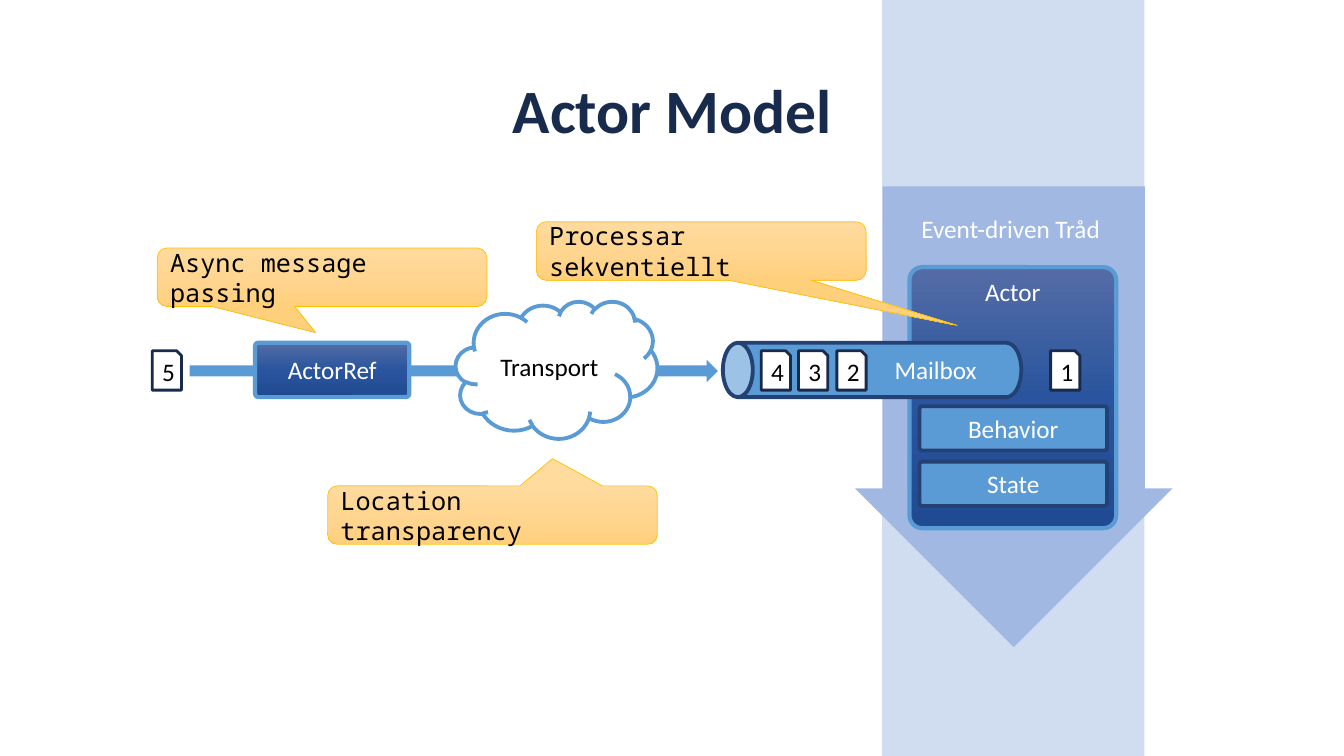
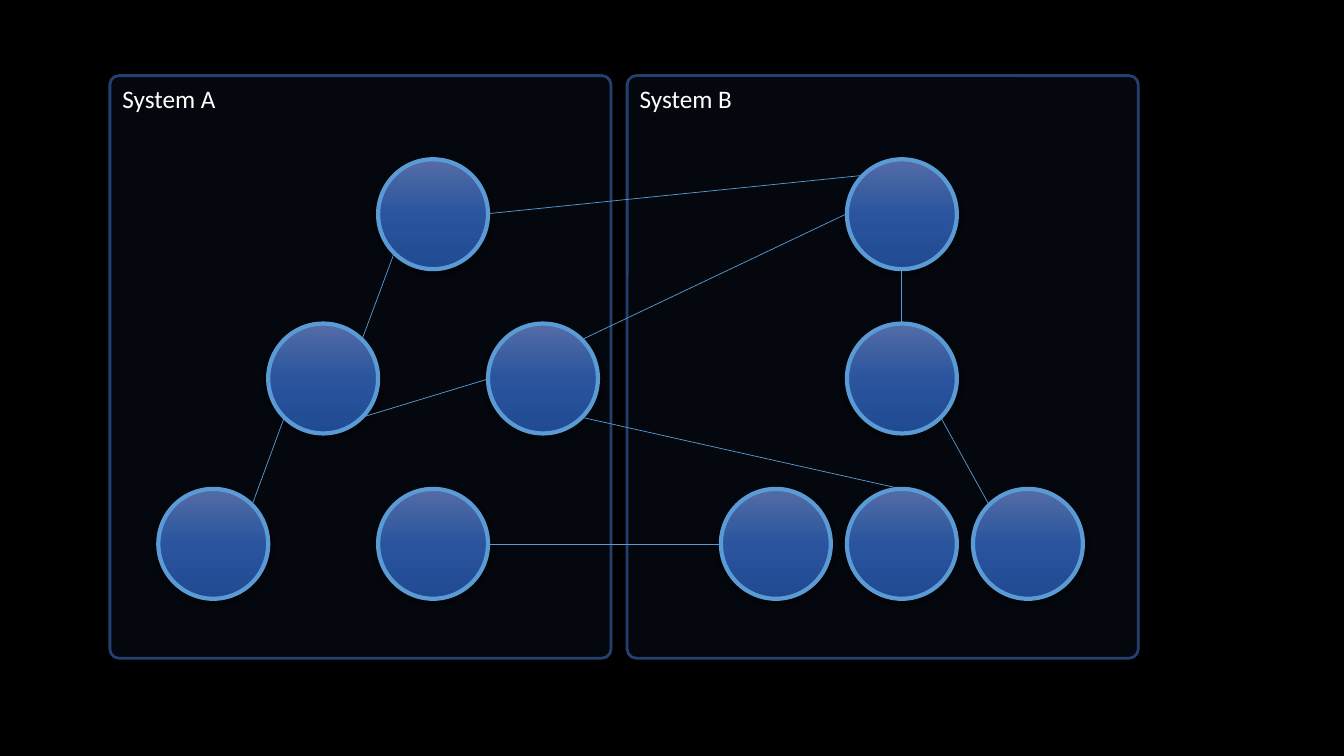
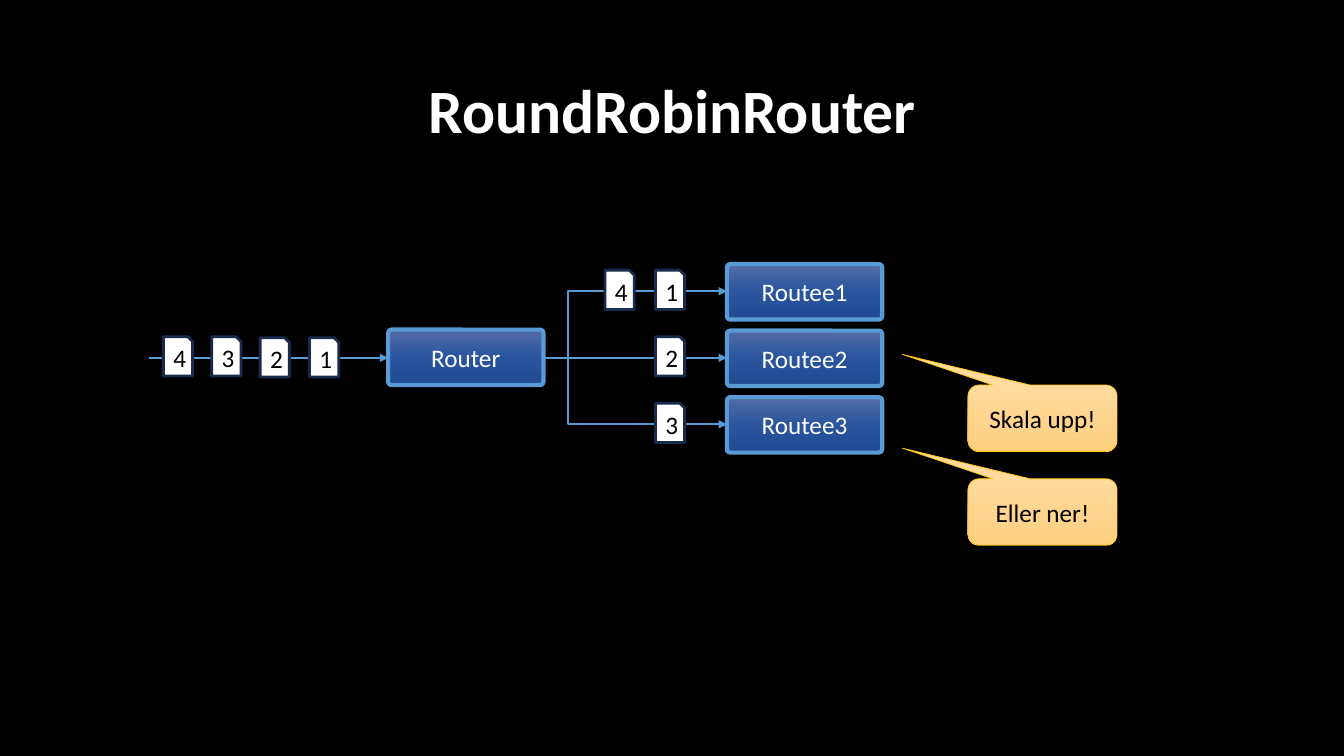
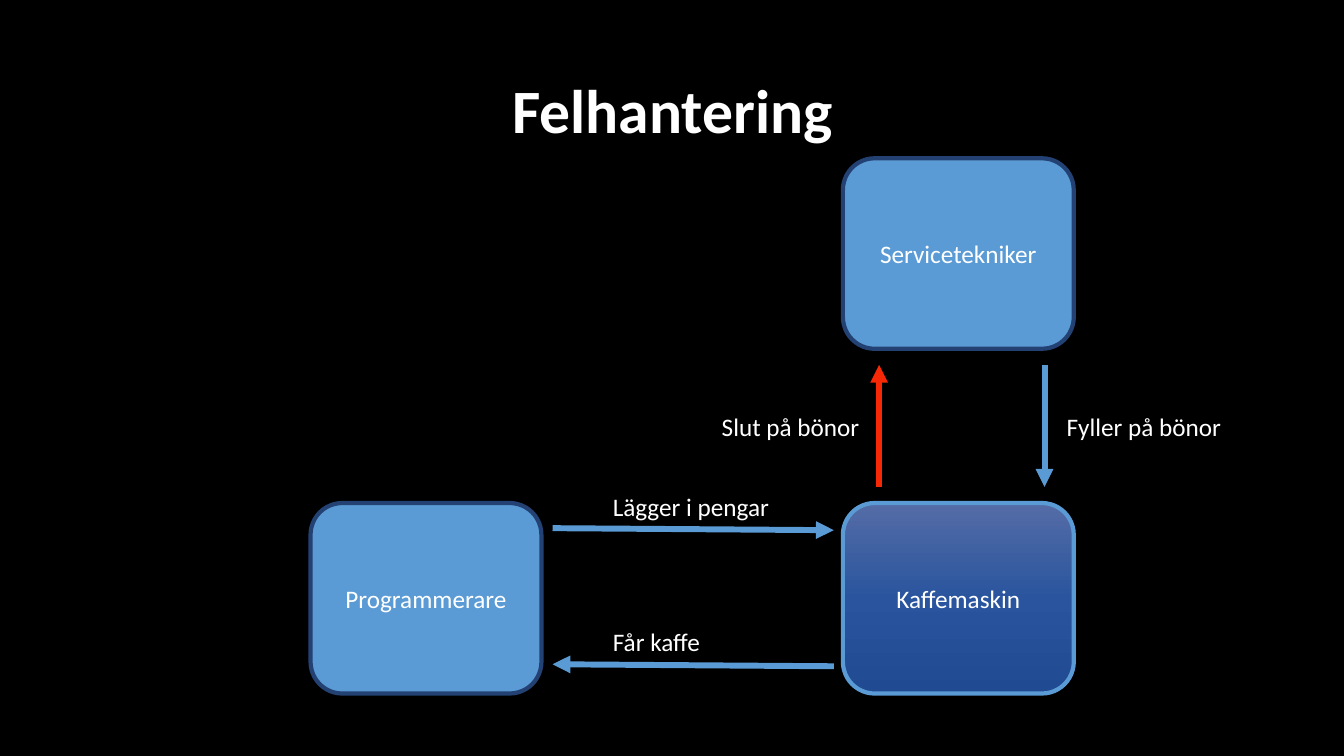
import math
from dataclasses import dataclass, replace
from typing import Optional

import lxml.etree
import pptx
import pptx.dml.color
import pptx.enum.shapes
import pptx.enum.text
import pptx.oxml.ns
import pptx.presentation
import pptx.slide
import pptx.util

Preset = pptx.enum.shapes.MSO_SHAPE
Connector = pptx.enum.shapes.MSO_CONNECTOR
Anchor = pptx.enum.text.MSO_ANCHOR
Align = pptx.enum.text.PP_ALIGN
AutoSize = pptx.enum.text.MSO_AUTO_SIZE
qn = pptx.oxml.ns.qn

EMU_PER_PX = 9144
SLIDE_SIZE = (1333, 750)
TITLE_FRAME = (92, 40, 1150, 145)

WHITE = "FFFFFF"
BLACK = "000000"
NAVY = "182B4C"
DEEP_BLUE = "234173"
BLUE = "5B9BD5"
RED = "F62806"
BLUE_GRADIENT = ("546CA6", "2A559E", "204A91")
AMBER_GRADIENT = ("FFDB9E", "FFD590", "FFD07C")

SANS = "Calibri"
MONO = "Noto Sans Mono"
SLIGHT_ROUND = (0.062,)
CALLOUT_ROUND = 0.167


@dataclass(frozen=True)
class Style:
    fill: tuple[str, ...]
    line: Optional[str] = None
    line_width: float = 1
    text_color: str = WHITE
    font: str = SANS
    align: Align = Align.CENTER
    anchor: Anchor = Anchor.MIDDLE
    opacity: int = 100
    shadow: bool = False


@dataclass(frozen=True)
class Box:
    preset: Preset
    frame: tuple[int, int, int, int]
    style: Style
    text: str = ""
    adjustments: tuple[float, ...] = ()
    rotation: int = 0


@dataclass(frozen=True)
class Label:
    frame: tuple[int, int, int, int]
    text: str
    centered: bool = False


@dataclass(frozen=True)
class Line:
    start: tuple[int, int]
    end: tuple[int, int]
    width: float
    color: str = BLUE
    arrow: bool = True
    bend: Optional[float] = None


@dataclass(frozen=True)
class Link:
    source: str
    source_angle: int
    target: str
    target_angle: int


ACTOR = Style(BLUE_GRADIENT, BLUE, 3)
RAISED_ACTOR = replace(ACTOR, shadow=True)
PART = Style((BLUE,), DEEP_BLUE, 2.75)
PERSON = replace(PART, line_width=3)
CARD = Style((WHITE,), NAVY, 2, BLACK)
CLOUD = Style((WHITE,), BLUE, 2.75, BLACK)
CALLOUT = Style(AMBER_GRADIENT, "FFC000", 0.5, BLACK)
MONO_CALLOUT = replace(CALLOUT, font=MONO, align=Align.LEFT)
SYSTEM = Style(("2F5699",), "234071", 2, align=Align.LEFT, anchor=Anchor.TOP, opacity=9)


def px(length: int) -> pptx.util.Emu:
    return pptx.util.Emu(length * EMU_PER_PX)


def rgb(color: str) -> pptx.dml.color.RGBColor:
    return pptx.dml.color.RGBColor.from_string(color)


def add_child(parent, tag: str, **attributes: object):
    values = {name: str(value) for name, value in attributes.items()}
    return lxml.etree.SubElement(parent, qn(tag), values)


def add_run(paragraph, text: str, color: str, font: str = SANS, size: int = 18, bold: bool = False) -> None:
    run = paragraph.add_run()
    run.text = text
    run.font.name = font
    run.font.size = pptx.util.Pt(size)
    run.font.bold = bold
    run.font.color.rgb = rgb(color)


def fill_shape(shape, style: Style) -> None:
    properties = shape._element.spPr
    if len(style.fill) == 1:
        shape.fill.solid()
        shape.fill.fore_color.rgb = rgb(style.fill[0])
        if style.opacity < 100:
            color = properties.find(qn("a:solidFill")).find(qn("a:srgbClr"))
            add_child(color, "a:alpha", val=style.opacity * 1000)
        return
    shape.fill.gradient()
    shape.fill.gradient_angle = 270
    stops = properties.find(qn("a:gradFill")).find(qn("a:gsLst"))
    for stop in list(stops):
        stops.remove(stop)
    for index, color in enumerate(style.fill):
        position = 100000 * index // (len(style.fill) - 1)
        add_child(add_child(stops, "a:gs", pos=position), "a:srgbClr", val=color)


def add_shadow(shape) -> None:
    effects = shape._element.spPr.find(qn("a:effectLst"))
    shadow = add_child(
        effects, "a:outerShdw", blurRad=pptx.util.Pt(4.5), dist=pptx.util.Pt(1.5),
        dir=5400000, algn="ctr", rotWithShape=0,
    )
    add_child(add_child(shadow, "a:srgbClr", val=BLACK), "a:alpha", val=63000)


def draw_box(slide: pptx.slide.Slide, box: Box) -> None:
    style = box.style
    shape = slide.shapes.add_shape(box.preset, *map(px, box.frame))
    shape.rotation = box.rotation
    for index, value in enumerate(box.adjustments):
        shape.adjustments[index] = value
    shape.shadow.inherit = False
    fill_shape(shape, style)
    if style.line:
        shape.line.color.rgb = rgb(style.line)
        shape.line.width = pptx.util.Pt(style.line_width)
    else:
        shape.line.fill.background()
    if style.shadow:
        add_shadow(shape)
    if box.text:
        shape.text_frame.word_wrap = True
        shape.text_frame.vertical_anchor = style.anchor
        paragraph = shape.text_frame.paragraphs[0]
        paragraph.alignment = style.align
        add_run(paragraph, box.text, style.text_color, style.font)


def draw_label(slide: pptx.slide.Slide, label: Label) -> None:
    text_frame = slide.shapes.add_textbox(*map(px, label.frame)).text_frame
    paragraph = text_frame.paragraphs[0]
    if label.centered:
        text_frame.word_wrap = True
        text_frame.vertical_anchor = Anchor.MIDDLE
        paragraph.alignment = Align.CENTER
    else:
        text_frame.word_wrap = False
        text_frame.auto_size = AutoSize.SHAPE_TO_FIT_TEXT
    add_run(paragraph, label.text, WHITE)


def draw_line(slide: pptx.slide.Slide, line: Line) -> None:
    kind = Connector.STRAIGHT if line.bend is None else Connector.ELBOW
    connector = slide.shapes.add_connector(kind, *map(px, line.start + line.end))
    connector.line.color.rgb = rgb(line.color)
    connector.line.width = pptx.util.Pt(line.width)
    properties = connector._element.spPr
    if line.arrow:
        add_child(properties.find(qn("a:ln")), "a:tailEnd", type="triangle")
    add_child(properties, "a:effectLst")
    if line.bend is not None:
        geometry = properties.find(qn("a:prstGeom"))
        guides = geometry.find(qn("a:avLst"))
        if guides is None:
            guides = add_child(geometry, "a:avLst")
        add_child(guides, "a:gd", name="adj1", fmla=f"val {round(line.bend * 100000)}")


def draw(slide: pptx.slide.Slide, *items: Box | Label | Line) -> None:
    painters = {Box: draw_box, Label: draw_label, Line: draw_line}
    for item in items:
        painters[type(item)](slide, item)


def add_slide(
    presentation: pptx.presentation.Presentation, title: str = "",
    background: str = BLACK, title_color: str = WHITE,
) -> pptx.slide.Slide:
    slide = presentation.slides.add_slide(presentation.slide_layouts[5 if title else 6])
    slide.background.fill.solid()
    slide.background.fill.fore_color.rgb = rgb(background)
    if title:
        shape = slide.shapes.title
        shape.left, shape.top, shape.width, shape.height = map(px, TITLE_FRAME)
        shape.text_frame.auto_size = AutoSize.NONE
        shape.text_frame.vertical_anchor = Anchor.MIDDLE
        paragraph = shape.text_frame.paragraphs[0]
        paragraph.alignment = Align.CENTER
        paragraph.line_spacing = 0.9
        add_run(paragraph, title, title_color, size=44, bold=True)
    return slide


def card(left: int, top: int, number: int) -> Box:
    return Box(Preset.SNIP_1_RECTANGLE, (left, top, 29, 39), CARD, str(number))


def callout(frame: tuple[int, int, int, int], text: str, tip: tuple[float, float], style: Style) -> Box:
    return Box(Preset.ROUNDED_RECTANGULAR_CALLOUT, frame, style, text, (*tip, CALLOUT_ROUND))


def rounded(frame: tuple[int, int, int, int], text: str, style: Style,
            adjustments: tuple[float, ...] = SLIGHT_ROUND) -> Box:
    return Box(Preset.ROUNDED_RECTANGLE, frame, style, text, adjustments)


def add_actor_model(presentation: pptx.presentation.Presentation) -> None:
    slide = add_slide(presentation, "Actor Model", WHITE, NAVY)
    card_top = 348
    draw(
        slide,
        Box(Preset.RECTANGLE, (875, 0, 260, 750), Style(("D0DCF0",))),
        Box(Preset.DOWN_ARROW, (848, 185, 315, 457), Style(("A0B8E2",)), adjustments=(0.826, 0.5)),
        rounded((902, 265, 205, 259), "Actor", replace(ACTOR, anchor=Anchor.TOP)),
        Box(Preset.CAN, (838, 219, 54, 296), PART, adjustments=(0.549,), rotation=270),
        Label((864, 355, 128, 24), "Mailbox", centered=True),
    )
    for left, number in ((755, 4), (792, 3), (830, 2), (1042, 1), (151, 5)):
        draw(slide, card(left, card_top, number))
    for top, text in ((458, "State"), (403, "Behavior")):
        draw(slide, rounded((912, top, 186, 44), text, PART))
    draw(slide, Label((904, 207, 200, 40), "Event-driven Tråd"))
    for left, top, text, tip in (
        (156, 246, "Async message passing", (-0.02, 0.948)),
        (325, 482, "Location transparency", (0.182, -0.966)),
        (532, 220, "Processar sekventiellt", (0.777, 1.275)),
    ):
        draw(slide, callout((left, top, 327, 58), text, tip, MONO_CALLOUT))
    draw(
        slide,
        Box(Preset.RIGHT_ARROW, (188, 357, 524, 22), Style((BLUE,))),
        Box(Preset.CLOUD, (452, 299, 200, 136), CLOUD, "Transport"),
        rounded((253, 340, 153, 54), "ActorRef", ACTOR),
    )


def add_systems(presentation: pptx.presentation.Presentation) -> None:
    slide = add_slide(presentation)
    diameter = 109
    rows = (158, 321, 485)
    columns_a = [157 + diameter * index for index in range(4)]
    columns_b = [715 + 125 * index for index in range(3)]
    actors = {
        "a_root": (columns_a[2], rows[0]),
        "a_left": (columns_a[1], rows[1]),
        "a_right": (columns_a[3], rows[1]),
        "a_leaf_left": (columns_a[0], rows[2]),
        "a_leaf_right": (columns_a[2], rows[2]),
        "b_root": (columns_b[1], rows[0]),
        "b_middle": (columns_b[1], rows[1]),
        "b_leaf_left": (columns_b[0], rows[2]),
        "b_leaf_middle": (columns_b[1], rows[2]),
        "b_leaf_right": (columns_b[2], rows[2]),
    }
    links = (
        Link("a_root", 135, "a_left", 315),
        Link("a_left", 135, "a_leaf_left", 315),
        Link("b_root", 180, "a_right", 315),
        Link("a_left", 45, "a_right", 180),
        Link("b_root", 90, "b_middle", 270),
        Link("a_leaf_right", 0, "b_leaf_left", 180),
        Link("a_right", 45, "b_leaf_middle", 270),
        Link("a_root", 0, "b_root", 225),
        Link("b_middle", 45, "b_leaf_right", 225),
    )

    def rim(actor: str, angle: int) -> tuple[int, int]:
        left, top = actors[actor]
        radius = diameter / 2
        turn = math.radians(angle)
        return (round(left + radius + radius * math.cos(turn)),
                round(top + radius + radius * math.sin(turn)))

    for left, width, text in ((622, 507, "System B"), (109, 497, "System A")):
        draw(slide, rounded((left, 75, width, 578), text, SYSTEM, (0.018,)))
    for left, top in actors.values():
        draw(slide, Box(Preset.OVAL, (left, top, diameter, diameter), RAISED_ACTOR))
    for link in links:
        draw(slide, Line(rim(link.source, link.source_angle), rim(link.target, link.target_angle),
                         0.5, arrow=False))


def add_router(presentation: pptx.presentation.Presentation) -> None:
    slide = add_slide(presentation, "RoundRobinRouter")
    draw(slide, rounded((385, 327, 154, 55), "Router", RAISED_ACTOR))
    for index in range(3):
        draw(slide, rounded((721, 262 + 66 * index, 154, 55), f"Routee{index + 1}", RAISED_ACTOR))
    router_exit = (539, 355)
    draw(
        slide,
        Line(router_exit, (721, 421), 1.5, bend=0.135),
        Line(router_exit, (721, 289), 1.5, bend=0.135),
        Line(router_exit, (721, 355), 1.75),
        Line((148, 355), (385, 355), 1.5),
    )
    for left, top, number in (
        (307, 335, 1), (258, 335, 2), (210, 334, 3), (162, 334, 4),
        (650, 268, 1), (650, 334, 2), (650, 400, 3), (600, 268, 4),
    ):
        draw(slide, card(left, top, number))
    for top, text in ((382, "Skala upp!"), (475, "Eller ner!")):
        draw(slide, callout((960, top, 148, 66), text, (-0.94, -0.961), CALLOUT))


def add_error_handling(presentation: pptx.presentation.Presentation) -> None:
    slide = add_slide(presentation, "Felhantering")
    for left, top, text, style in (
        (308, 499, "Programmerare", PERSON),
        (836, 499, "Kaffemaskin", RAISED_ACTOR),
        (836, 157, "Servicetekniker", PERSON),
    ):
        draw(slide, rounded((left, top, 229, 189), text, style, ()))
    for start, end, color in (
        ((548, 524), (827, 526), BLUE),
        ((872, 483), (872, 362), RED),
        ((1036, 362), (1036, 483), BLUE),
        ((827, 661), (548, 659), BLUE),
    ):
        draw(slide, Line(start, end, 4.25, color))
    for left, top, width, text in (
        (598, 483, 177, "Lägger i pengar"),
        (706, 403, 158, "Slut på bönor"),
        (1048, 403, 175, "Fyller på bönor"),
        (598, 616, 108, "Får kaffe"),
    ):
        draw(slide, Label((left, top, width, 40), text))


def main() -> None:
    presentation = pptx.Presentation()
    presentation.slide_width, presentation.slide_height = map(px, SLIDE_SIZE)
    add_actor_model(presentation)
    add_systems(presentation)
    add_router(presentation)
    add_error_handling(presentation)
    presentation.save("out.pptx")


if __name__ == "__main__":
    main()
